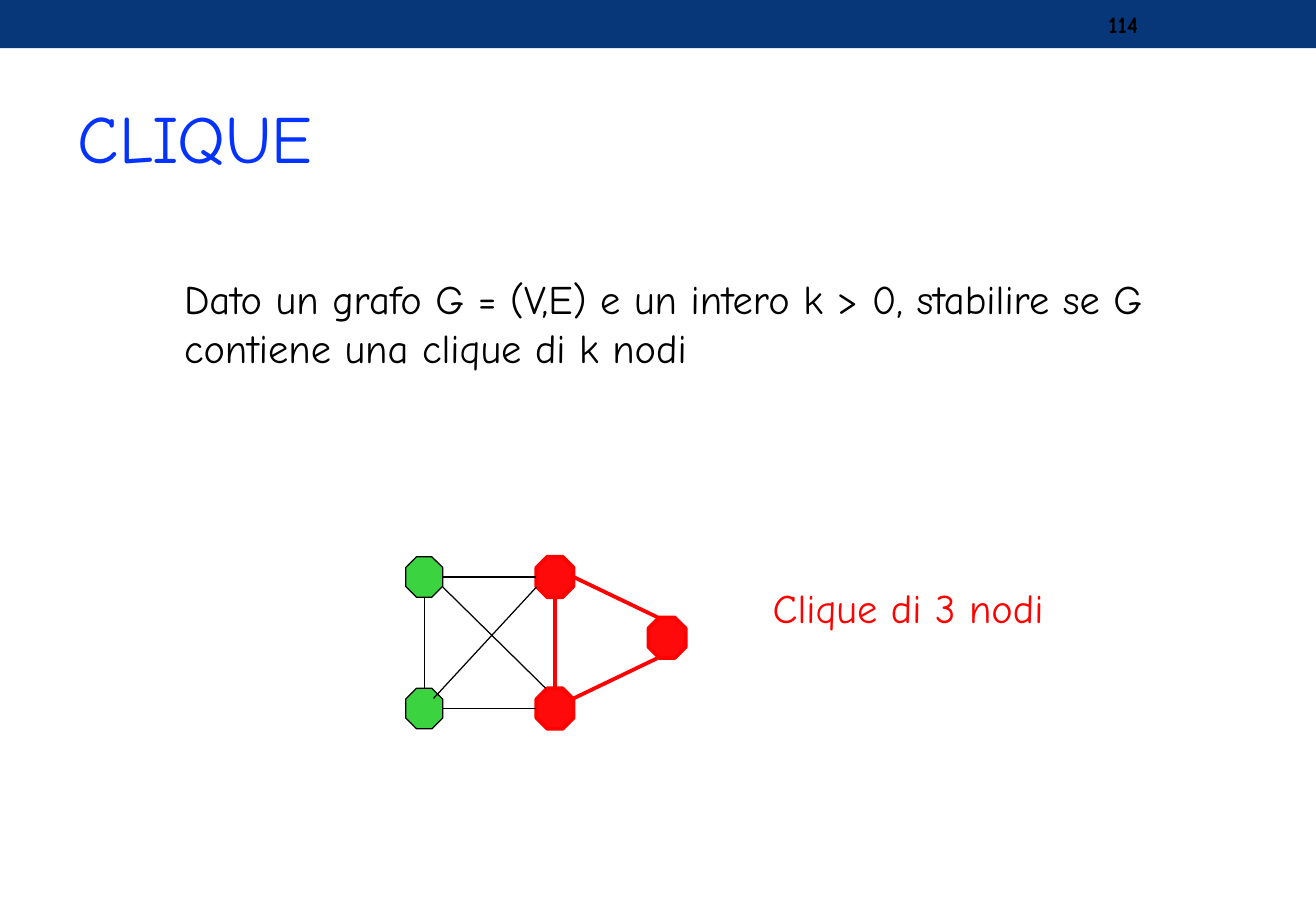
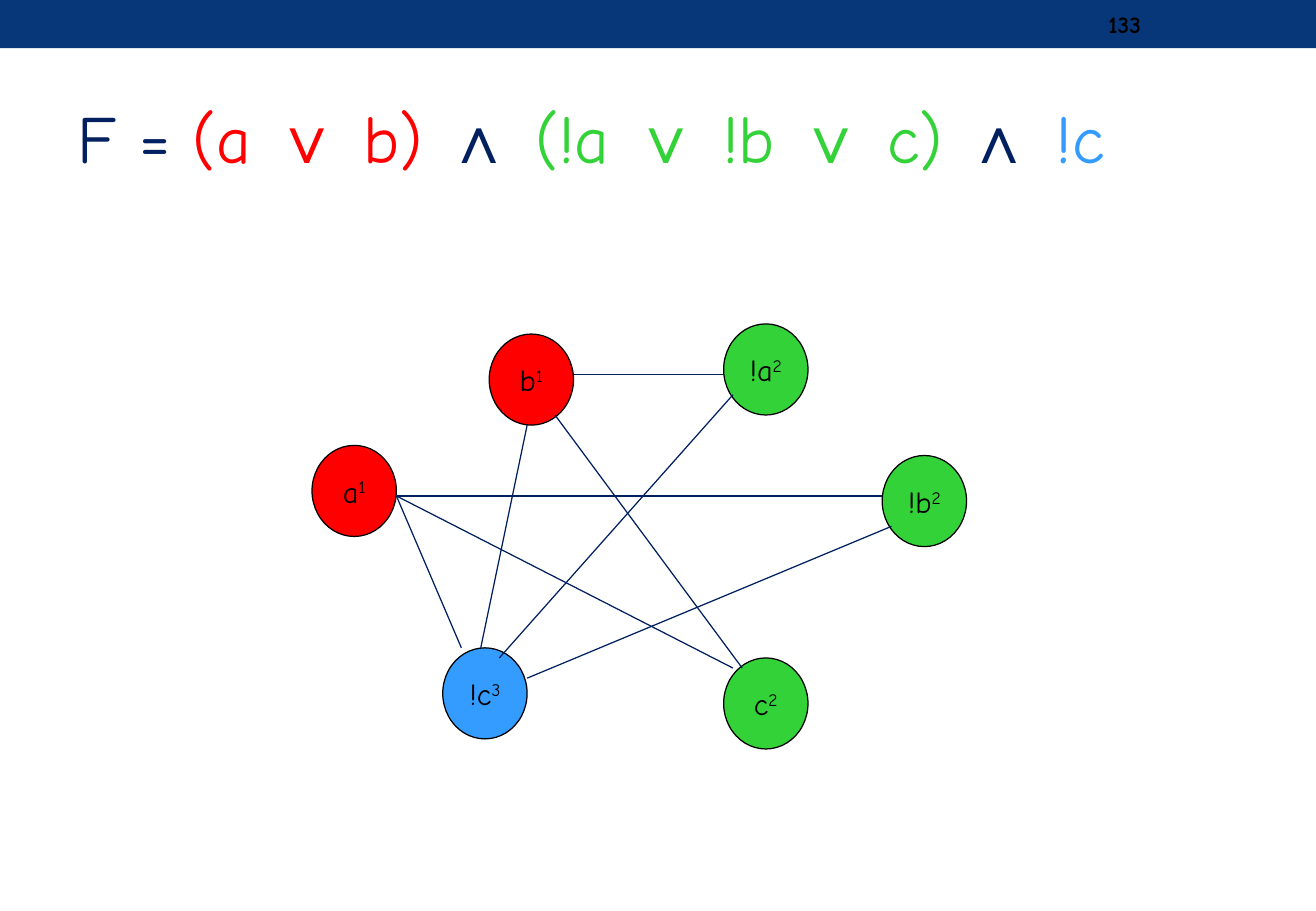
"""Build two slides on the clique problem and its graph built from a formula."""
from lxml import etree
from pptx import Presentation
from pptx.dml.color import RGBColor
from pptx.enum.shapes import MSO_CONNECTOR, MSO_SHAPE
from pptx.enum.text import MSO_ANCHOR, PP_ALIGN
from pptx.oxml.ns import qn
from pptx.util import Pt

COLORS = {"band": "073779", "title": "0432FF", "navy": "002060", "black": "000000",
          "red": "FF0000", "green": "34D239", "blue": "349BFF"}
FONT, SYMBOL_FONT = "Comic Neue", "Arial"
WIDTH, HEIGHT = 780.13, 540

BAND_BOX = (0, 0, 780, 28.6)
TITLE_BOX = (39, 42, 702, 78)
NUMBER_BOX = (650, 1.5, 91, 26)
PROBLEM_BOX = (102, 159, 633, 78)
CAPTION_BOX = (451, 342, 199, 36)

PROBLEM = "Dato un grafo G = (V,E) e un intero k > 0, stabilire se G contiene una clique di k nodi"
CAPTION = "Clique di 3 nodi"
FORMULA = [("F = ", "navy", FONT), ("(a ", "red", FONT), ("∨", "red", SYMBOL_FONT),
           (" b) ", "red", FONT), ("∧", "navy", SYMBOL_FONT), (" (!a ", "green", FONT),
           ("∨", "green", SYMBOL_FONT), (" !b ", "green", FONT),
           ("∨", "green", SYMBOL_FONT), (" c) ", "green", FONT),
           ("∧", "navy", SYMBOL_FONT), (" !c", "blue", FONT)]

CLIQUE = {
    "shape": MSO_SHAPE.OCTAGON, "size": (22, 24), "opacity": 96,
    "nodes": {
        "top left": (240.5, 330, "green", "black", 0.75, "", ""),
        "top mid": (318, 330, "red", "red", 2.25, "", ""),
        "low left": (240.5, 408, "green", "black", 0.75, "", ""),
        "low mid": (318, 408, "red", "red", 2.25, "", ""),
        "right": (384.5, 366, "red", "red", 2.25, "", "")},
    "edges": [
        ("top left", (11, 24), "low left", (11, 0), "black", 0.75),
        ("top mid", (11, 24), "low mid", (11, 0), "red", 2.25),
        ("top left", (22, 12), "top mid", (0, 12), "black", 0.75),
        ("low left", (22, 12), "low mid", (0, 12), "black", 0.75),
        ("low mid", (22, 6), "right", (5.5, 24), "red", 2.25),
        ("top left", (22, 18), "low mid", (5.5, 0), "black", 0.75),
        ("low left", (16.5, 6), "top mid", (0, 18), "black", 0.75),
        ("top mid", (22, 12), "right", (5.5, 0), "red", 2.25)]}

LITERALS = {
    "shape": MSO_SHAPE.OVAL, "size": (50, 54), "opacity": 100,
    "nodes": {
        "b": (290, 198, "red", "black", 0.75, "b", "1"),
        "a": (185, 264, "red", "black", 0.75, "a", "1"),
        "!a": (429, 192, "green", "black", 0.75, "!a", "2"),
        "!b": (523, 270, "green", "black", 0.75, "!b", "2"),
        "c": (429, 390, "green", "black", 0.75, "c", "2"),
        "!c": (262.5, 384, "blue", "black", 0.75, "!c", "3")},
    "edges": [
        ("a", (50, 30), "!b", (0, 24), "navy", 0.75),
        ("a", (50, 30), "!c", (11, 0), "navy", 0.75),
        ("a", (50, 30), "c", (5.5, 6), "navy", 0.75),
        ("b", (22.5, 54), "!c", (22.5, 0), "navy", 0.75),
        ("b", (39, 48), "c", (11, 6), "navy", 0.75),
        ("b", (50, 24), "!a", (0, 30), "navy", 0.75),
        ("!c", (33.5, 6), "!a", (5.5, 42), "navy", 0.75),
        ("!c", (50, 18), "!b", (5.5, 42), "navy", 0.75)]}


def rgb(name):
    return RGBColor.from_string(COLORS[name])


def add_run(p, text, size, color, font=FONT, bold=False):
    r = p.add_run()
    r.text = text
    r.font.size, r.font.name, r.font.bold = Pt(size), font, bold
    r.font.color.rgb = rgb(color)
    return r


def add_text(s, box, runs, size, anchor=MSO_ANCHOR.TOP, bold=False):
    tf = s.shapes.add_textbox(*map(Pt, box)).text_frame
    tf.word_wrap = True
    tf.vertical_anchor = anchor
    for text, color, font in runs:
        add_run(tf.paragraphs[0], text, size, color, font, bold)


def add_shape(s, kind, box, fill, line=None, width=0):
    sp = s.shapes.add_shape(kind, *map(Pt, box))
    sp.shadow.inherit = False
    sp.fill.solid()
    sp.fill.fore_color.rgb = rgb(fill)
    if line:
        sp.line.color.rgb = rgb(line)
        sp.line.width = Pt(width)
    else:
        sp.line.fill.background()
    return sp


def new_slide(prs, number, title):
    s = prs.slides.add_slide(prs.slide_layouts[6])
    add_shape(s, MSO_SHAPE.RECTANGLE, BAND_BOX, "band")
    add_text(s, NUMBER_BOX, [(number, "black", FONT)], 14, MSO_ANCHOR.MIDDLE, True)
    add_text(s, TITLE_BOX, title, 40, MSO_ANCHOR.MIDDLE)
    return s


def add_graph(s, graph):
    nodes = graph["nodes"]
    for left, top, fill, line, width, label, power in nodes.values():
        sp = add_shape(s, graph["shape"], (left, top, *graph["size"]), fill, line, width)
        if graph["opacity"] < 100:
            color = sp._element.spPr.find(qn("a:solidFill"))[0]
            etree.SubElement(color, qn("a:alpha"), val=str(graph["opacity"] * 1000))
        if label:
            tf = sp.text_frame
            tf.word_wrap = False
            tf.vertical_anchor = MSO_ANCHOR.MIDDLE
            p = tf.paragraphs[0]
            p.alignment = PP_ALIGN.CENTER
            add_run(p, label, 18, "black")
            r = add_run(p, power, 18, "black")
            r._r.get_or_add_rPr().set("baseline", "30000")
    for start, start_offset, end, end_offset, color, width in graph["edges"]:
        ends = [nodes[name][axis] + offset[axis]
                for name, offset in ((start, start_offset), (end, end_offset))
                for axis in (0, 1)]
        edge = s.shapes.add_connector(MSO_CONNECTOR.STRAIGHT, *map(Pt, ends))
        edge.line.color.rgb = rgb(color)
        edge.line.width = Pt(width)
        etree.SubElement(edge._element.spPr, qn("a:effectLst"))


def main():
    prs = Presentation()
    prs.slide_width, prs.slide_height = Pt(WIDTH), Pt(HEIGHT)

    s = new_slide(prs, "114", [("CLIQUE", "title", FONT)])
    add_text(s, PROBLEM_BOX, [(PROBLEM, "black", FONT)], 24)
    add_graph(s, CLIQUE)
    add_text(s, CAPTION_BOX, [(CAPTION, "red", FONT)], 24)

    s = new_slide(prs, "133", FORMULA)
    add_graph(s, LITERALS)

    prs.save("out.pptx")


if __name__ == "__main__":
    main()
